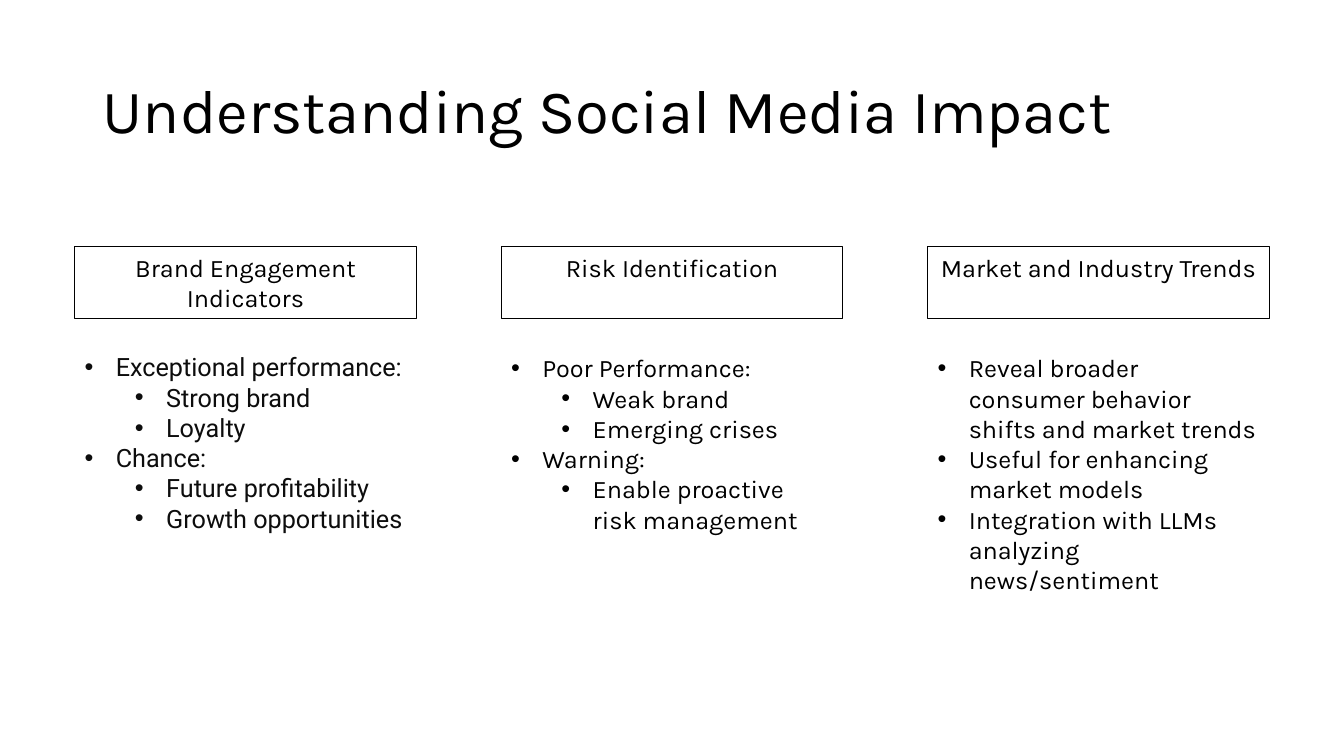
from dataclasses import dataclass

import lxml.etree
import pptx
import pptx.dml.color
import pptx.enum.shapes
import pptx.enum.text
import pptx.oxml.ns
import pptx.presentation
import pptx.slide
import pptx.text.text
import pptx.util

EMU_PER_PX = 9144  # 100 px to the inch
SLIDE_WIDTH, SLIDE_HEIGHT = 1333, 750
COLUMN_LEFT, COLUMN_PITCH, COLUMN_WIDTH = 74, 423, 339
HEADING_TOP, HEADING_HEIGHT = 245, 71
BULLET_INDENT, LEVEL_STEP = 31, 50
BLACK = "000000"


@dataclass(frozen=True)
class Point:
    wording: str
    level: int = 0


@dataclass(frozen=True)
class Column:
    heading: str
    points: tuple[Point, ...]
    top: int = 345
    height: int = 192
    font: str = "Karla"
    color: str = BLACK


COLUMNS = (
    Column("Brand Engagement Indicators", (
        Point("Exceptional performance:"),
        Point("Strong brand", 1),
        Point("Loyalty", 1),
        Point("Chance:"),
        Point("Future profitability", 1),
        Point("Growth opportunities", 1),
    ), top=344, font="Roboto", color="0D0D0D"),
    Column("Risk Identification", (
        Point("Poor Performance:"),
        Point("Weak brand", 1),
        Point("Emerging crises", 1),
        Point("Warning:"),
        Point("Enable proactive risk management", 1),
    )),
    Column("Market and Industry Trends", (
        Point("Reveal broader consumer behavior shifts and market trends"),
        Point("Useful for enhancing market models"),
        Point("Integration with LLMs analyzing news/sentiment"),
    ), height=222),
)


def px(length: int) -> pptx.util.Emu:
    return pptx.util.Emu(length * EMU_PER_PX)


def rgb(color: str) -> pptx.dml.color.RGBColor:
    return pptx.dml.color.RGBColor.from_string(color)


def add_run(paragraph: pptx.text.text._Paragraph, wording: str, size: int = 18,
            font: str = "Karla", color: str = BLACK) -> None:
    run = paragraph.add_run()
    run.text = wording
    run.font.size = pptx.util.Pt(size)
    run.font.name = font
    run.font.color.rgb = rgb(color)


def add_bullet(paragraph: pptx.text.text._Paragraph, level: int) -> None:
    paragraph.level = level
    properties = paragraph._p.get_or_add_pPr()
    properties.set("marL", str(px(BULLET_INDENT + level * LEVEL_STEP)))
    properties.set("indent", str(px(-BULLET_INDENT)))
    qn = pptx.oxml.ns.qn
    lxml.etree.SubElement(properties, qn("a:buFont")).set("typeface", "Arial")
    lxml.etree.SubElement(properties, qn("a:buChar")).set("char", "•")


def draw_title(slide: pptx.slide.Slide, wording: str) -> None:
    frame = slide.shapes.add_textbox(px(92), px(40), px(1150), px(145)).text_frame
    frame.word_wrap = True
    frame.vertical_anchor = pptx.enum.text.MSO_ANCHOR.MIDDLE
    frame.paragraphs[0].line_spacing = 0.9
    add_run(frame.paragraphs[0], wording, size=44)


def draw_heading(slide: pptx.slide.Slide, wording: str, left: int) -> None:
    box = slide.shapes.add_shape(
        pptx.enum.shapes.MSO_SHAPE.RECTANGLE,
        px(left), px(HEADING_TOP), px(COLUMN_WIDTH), px(HEADING_HEIGHT))
    box.shadow.inherit = False
    box.fill.background()
    box.line.color.rgb = rgb(BLACK)
    box.line.width = pptx.util.Pt(0.75)
    frame = box.text_frame
    frame.word_wrap = True
    frame.vertical_anchor = pptx.enum.text.MSO_ANCHOR.TOP
    frame.paragraphs[0].alignment = pptx.enum.text.PP_ALIGN.CENTER
    add_run(frame.paragraphs[0], wording)


def draw_points(slide: pptx.slide.Slide, column: Column, left: int) -> None:
    frame = slide.shapes.add_textbox(
        px(left), px(column.top), px(COLUMN_WIDTH), px(column.height)).text_frame
    frame.word_wrap = True
    for index, point in enumerate(column.points):
        paragraph = frame.add_paragraph() if index else frame.paragraphs[0]
        add_bullet(paragraph, point.level)
        add_run(paragraph, point.wording, font=column.font, color=column.color)


def main() -> None:
    deck: pptx.presentation.Presentation = pptx.Presentation()
    deck.slide_width, deck.slide_height = px(SLIDE_WIDTH), px(SLIDE_HEIGHT)
    slide = deck.slides.add_slide(deck.slide_layouts[6])

    # Title
    draw_title(slide, "Understanding Social Media Impact")

    # Three columns: framed heading above its bullet points
    for index, column in enumerate(COLUMNS):
        left = COLUMN_LEFT + index * COLUMN_PITCH
        draw_heading(slide, column.heading, left)
        draw_points(slide, column, left)

    deck.save("out.pptx")


if __name__ == "__main__":
    main()
